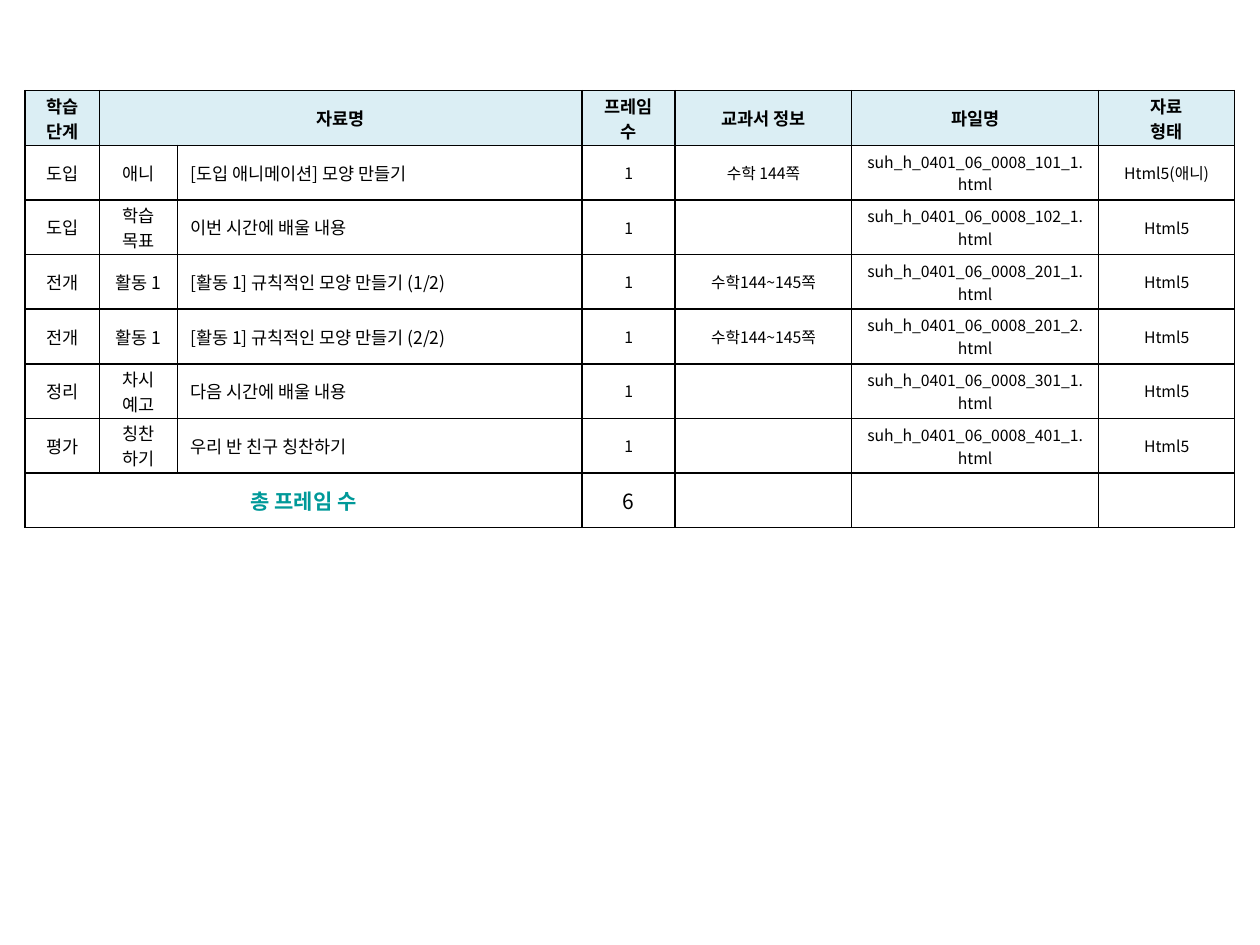
from lxml.etree import SubElement
from pptx import Presentation
from pptx.dml.color import RGBColor
from pptx.enum.text import MSO_ANCHOR, PP_ALIGN
from pptx.oxml.ns import qn
from pptx.util import Inches, Pt

FONT = "Noto Sans CJK KR"
BLACK, PALE, TEAL = "000000", "DBEEF4", "009999"


def tint(color, code):
    color.rgb = RGBColor.from_string(code)


def edge(cell):
    props = cell._tc.get_or_add_tcPr()
    for side in "LRTB":
        line = SubElement(props, qn(f"a:ln{side}"), w=str(Pt(1)))
        paint = SubElement(line, qn("a:solidFill"))
        SubElement(paint, qn("a:srgbClr"), val=BLACK)


deck = Presentation()
deck.slide_width, deck.slide_height = Inches(10), Inches(7.5)
slide = deck.slides.add_slide(deck.slide_layouts[6])
wide, high = deck.slide_width / 100, deck.slide_height / 100

cols = [5.9, 6.2, 32.1, 7.4, 14, 19.6, 10.8]
tall = 5.78
name = "suh_h_0401_06_0008_{}.html"
rows = [
    ["학습 단계", "자료명", "", "프레임 수", "교과서 정보", "파일명", "자료\n형태"],
    ["도입", "애니", "[도입 애니메이션] 모양 만들기", "1", "수학 144쪽", name.format("101_1"), "Html5(애니)"],
    ["도입", "학습 목표", "이번 시간에 배울 내용", "1", "", name.format("102_1"), "Html5"],
    ["전개", "활동 1", "[활동 1] 규칙적인 모양 만들기 (1/2)", "1", "수학144~145쪽", name.format("201_1"), "Html5"],
    ["전개", "활동 1", "[활동 1] 규칙적인 모양 만들기 (2/2)", "1", "수학144~145쪽", name.format("201_2"), "Html5"],
    ["정리", "차시 예고", "다음 시간에 배울 내용", "1", "", name.format("301_1"), "Html5"],
    ["평가", "칭찬\n하기", "우리 반 친구 칭찬하기", "1", "", name.format("401_1"), "Html5"],
    ["총 프레임 수", "", "", "6", "", "", ""],
]
last = len(rows) - 1

frame = slide.shapes.add_table(
    len(rows), len(cols), int(2 * wide), int(9.6 * high),
    int(sum(cols) * wide), int(len(rows) * tall * high))
table = frame.table
table.first_row = table.horz_banding = False
for col, share in zip(table.columns, cols):
    col.width = int(share * wide)
for row in table.rows:
    row.height = int(tall * high)
table.cell(0, 1).merge(table.cell(0, 2))
table.cell(last, 0).merge(table.cell(last, 2))

for y, row in enumerate(rows):
    for x, text in enumerate(row):
        cell = table.cell(y, x)
        edge(cell)
        if y == 0:
            cell.fill.solid()
            tint(cell.fill.fore_color, PALE)
        else:
            cell.fill.background()
        cell.vertical_anchor = MSO_ANCHOR.MIDDLE
        cell.margin_left = cell.margin_right = Inches(0.1)
        cell.margin_top = cell.margin_bottom = Inches(0.01)
        if not text:
            continue
        cell.text_frame.text = text
        total = y == last and x == 0
        size = 12 if y == last else 10 if y == 0 or x < 3 else 9
        for para in cell.text_frame.paragraphs:
            para.alignment = PP_ALIGN.LEFT if x == 2 else PP_ALIGN.CENTER
            for run in para.runs:
                run.font.size = Pt(size)
                run.font.bold = y == 0 or total
                run.font.name = FONT
                tint(run.font.color, TEAL if total else BLACK)
                SubElement(run.font._element, qn("a:ea"), typeface=FONT)

deck.save("out.pptx")
